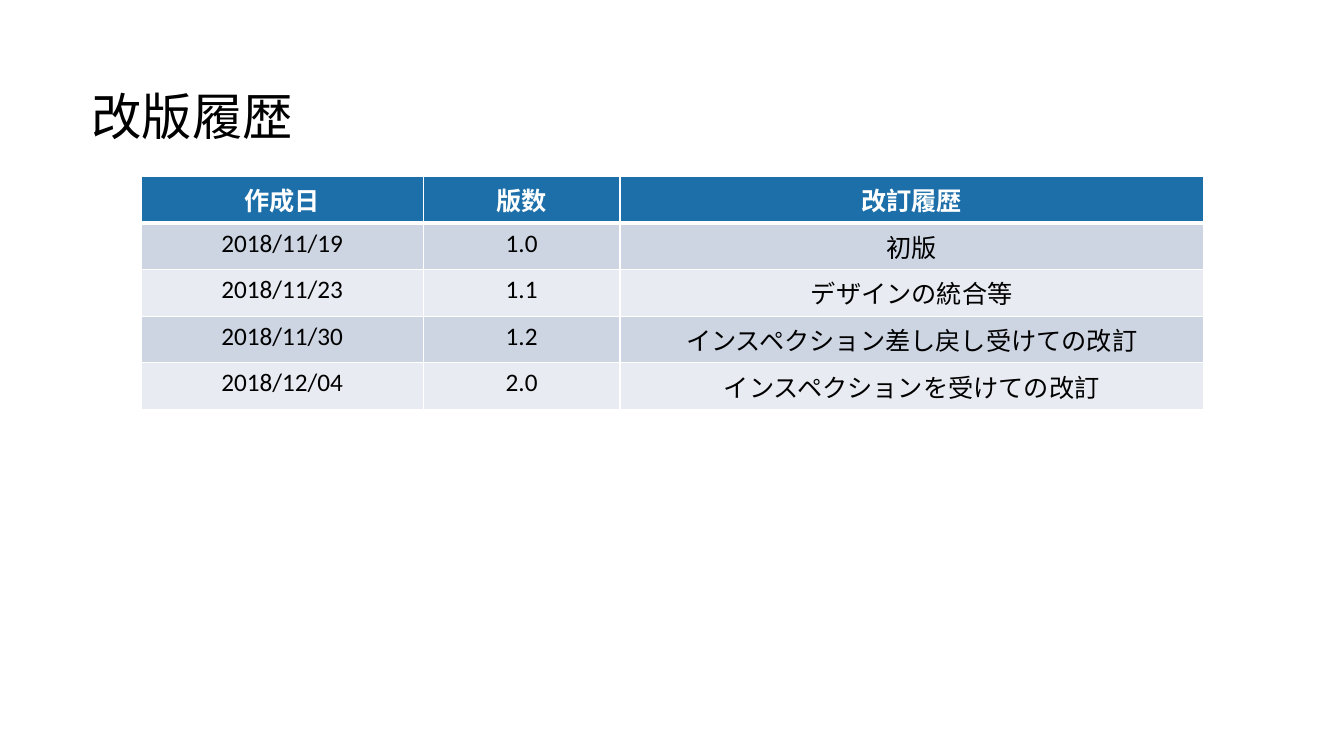
from lxml.etree import SubElement
from pptx import Presentation
from pptx.dml.color import RGBColor
from pptx.enum.text import MSO_AUTO_SIZE, PP_ALIGN
from pptx.oxml.ns import qn
from pptx.util import Pt

BLACK = RGBColor(0x00, 0x00, 0x00)
WHITE = RGBColor(0xFF, 0xFF, 0xFF)
HEADER_BLUE = RGBColor(0x1D, 0x6F, 0xA9)
ODD_ROW = RGBColor(0xCD, 0xD5, 0xE2)
EVEN_ROW = RGBColor(0xE8, 0xEB, 0xF1)

TITLE_FORMAT = {"name": "Calibri", "size": Pt(36), "bold": False}
HEADER_FORMAT = {"name": "Calibri", "size": Pt(18), "bold": True}
ENTRY_FORMAT = {"name": "Calibri", "size": Pt(18), "bold": False}

COLUMN_WIDTHS = (201.6, 140.4, 416.9)
HEADER_HEIGHT = 15.1
ENTRY_HEIGHT = 29.5
REVISIONS = (
    ("作成日", "版数", "改訂履歴"),
    ("2018/11/19", "1.0", "初版"),
    ("2018/11/23", "1.1", "デザインの統合等"),
    ("2018/11/30", "1.2", "インスペクション差し戻し受けての改訂"),
    ("2018/12/04", "2.0", "インスペクションを受けての改訂"),
)


def format_text(paragraph, text, text_format, color):
    run = paragraph.add_run()
    run.text = text
    for attribute, value in text_format.items():
        setattr(run.font, attribute, value)
    run.font.color.rgb = color


def add_title(slide, text):
    title = slide.shapes.add_textbox(Pt(58.3), Pt(56.9), Pt(275.8), Pt(51.1))
    frame = title.text_frame
    frame.word_wrap = True
    frame.auto_size = MSO_AUTO_SIZE.SHAPE_TO_FIT_TEXT
    format_text(frame.paragraphs[0], text, TITLE_FORMAT, BLACK)


def set_borders(cell, top, bottom):
    properties = cell._tc.get_or_add_tcPr()
    for side, width in {"lnL": 1, "lnR": 1, "lnT": top, "lnB": bottom}.items():
        border = SubElement(properties, qn(f"a:{side}"), w=str(Pt(width)))
        fill = SubElement(border, qn("a:solidFill"))
        SubElement(fill, qn("a:srgbClr"), val=str(WHITE))


def fill_cell(cell, text, row):
    is_header = row == 0
    set_borders(cell, top=3 if row == 1 else 1, bottom=3 if is_header else 1)
    cell.fill.solid()
    band = ODD_ROW if row % 2 else EVEN_ROW
    cell.fill.fore_color.rgb = HEADER_BLUE if is_header else band
    paragraph = cell.text_frame.paragraphs[0]
    paragraph.alignment = PP_ALIGN.CENTER
    text_format = HEADER_FORMAT if is_header else ENTRY_FORMAT
    format_text(paragraph, text, text_format, WHITE if is_header else BLACK)


def add_revision_table(slide):
    history = slide.shapes.add_table(
        len(REVISIONS), len(COLUMN_WIDTHS),
        Pt(100.8), Pt(126), Pt(758.9), Pt(145.4),
    ).table
    for column, width in zip(history.columns, COLUMN_WIDTHS):
        column.width = Pt(width)
    for row, entry in enumerate(REVISIONS):
        history.rows[row].height = Pt(ENTRY_HEIGHT if row else HEADER_HEIGHT)
        for column, text in enumerate(entry):
            fill_cell(history.cell(row, column), text, row)


def main():
    presentation = Presentation()
    presentation.slide_width = Pt(960)
    presentation.slide_height = Pt(540)
    slide = presentation.slides.add_slide(presentation.slide_layouts[6])
    add_revision_table(slide)
    add_title(slide, "改版履歴")
    presentation.save("out.pptx")


if __name__ == "__main__":
    main()
